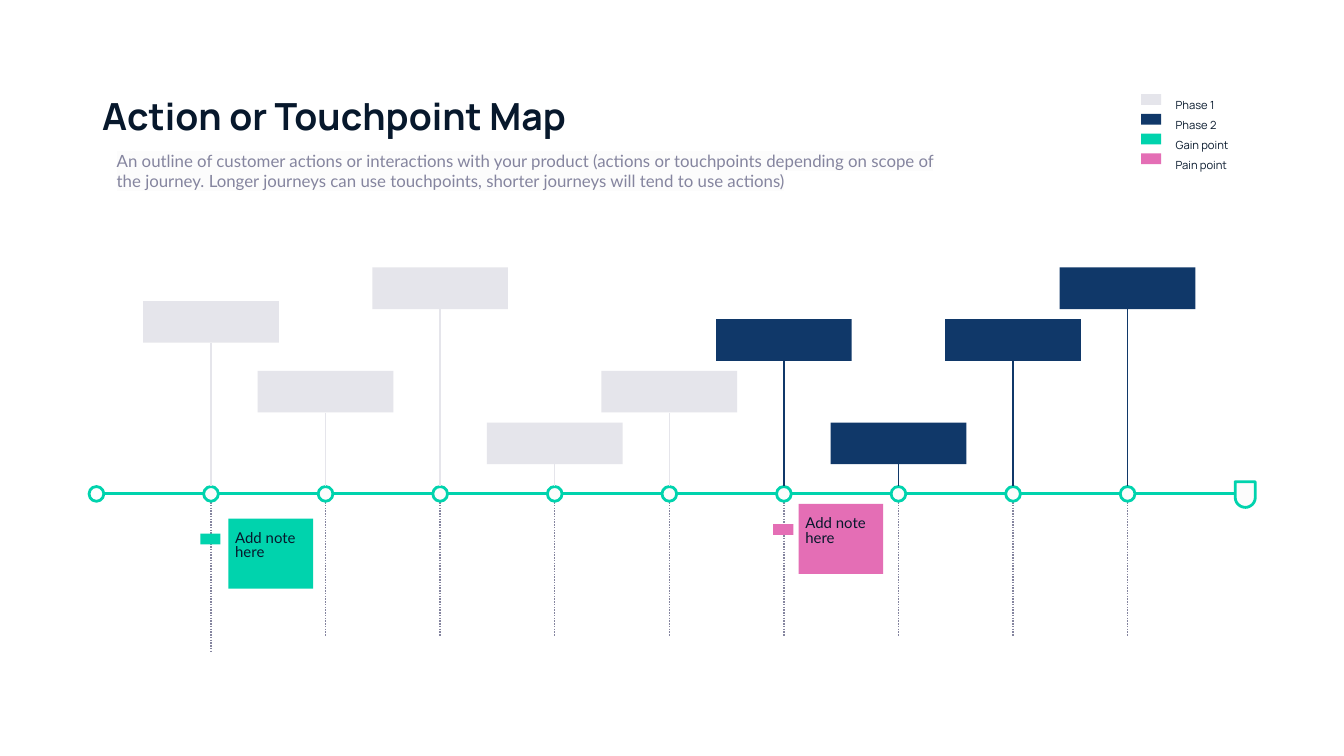
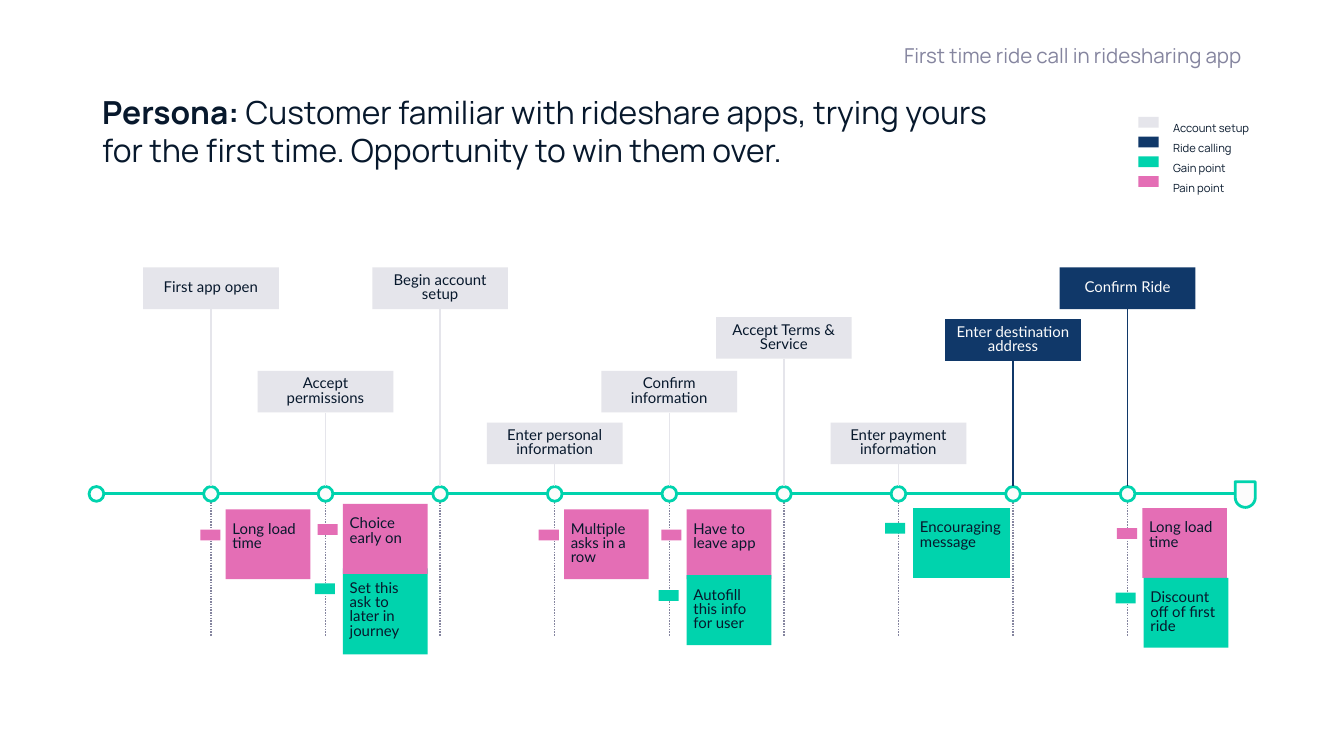
from dataclasses import dataclass

from lxml.etree import SubElement
from pptx import Presentation
from pptx.dml.color import RGBColor
from pptx.enum.dml import MSO_LINE
from pptx.enum.shapes import MSO_CONNECTOR, MSO_SHAPE
from pptx.enum.text import MSO_ANCHOR, MSO_AUTO_SIZE, PP_ALIGN
from pptx.oxml.ns import qn
from pptx.util import Inches, Pt

COLORS = {
    "ink": "07182C",
    "muted": "85859F",
    "paper": "FCFCFC",
    "first": "E5E5EB",
    "second": "103869",
    "gain": "00D3AD",
    "pain": "E46EB5",
}
HEADING, BODY = "Manrope", "Lato"

# The grid has 100 square columns across the slide.
COLUMN = Inches(10) / 100
STOPS = 9
STOP_GAP = (83.9 - 15.7) / (STOPS - 1)
AXIS_Y = 36.75
RING = 1.1
CARD_W, CARD_H = 10.1, 3.1
CARD_TOP, TIER = 19.9, 3.85
SWATCH_W, SWATCH_H = 1.5, 0.8


def grid(*lengths):
    return [round(length * COLUMN) for length in lengths]


def color(key):
    return RGBColor.from_string(COLORS[key])


def stop_x(stop):
    return 15.7 + (stop - 1) * STOP_GAP


@dataclass
class Note:
    """A note beside a stop; shift, gap and drop place it and its marker."""
    stop: int
    kind: str
    text: str
    top: float
    shift: float = 1.1
    gap: float = 1.9
    drop: float = 1.5
    width: float = 6.3
    height: float = 5.2


class JourneySlides:
    def __init__(self):
        self.deck = Presentation()
        self.deck.slide_width = Inches(10)
        self.deck.slide_height = Inches(10 * 9 / 16)
        self.slide = None

    def new_slide(self):
        self.slide = self.deck.slides.add_slide(self.deck.slide_layouts[5])

    def frame(self, shape, inset=1, anchor=MSO_ANCHOR.TOP, fit=MSO_AUTO_SIZE.NONE):
        text_frame = shape.text_frame
        text_frame.word_wrap = True
        text_frame.auto_size = fit
        text_frame.vertical_anchor = anchor
        text_frame.margin_left, text_frame.margin_right = grid(inset, inset)
        text_frame.margin_top, text_frame.margin_bottom = grid(1, 1)
        return text_frame

    def format(self, text_frame, size, font, ink, align=PP_ALIGN.LEFT, spacing=1.0):
        for paragraph in text_frame.paragraphs:
            paragraph.alignment = align
            paragraph.line_spacing = spacing
            for run in paragraph.runs:
                run.font.size = Pt(size)
                run.font.name = font
                run.font.color.rgb = color(ink)

    def title(self, bold_part, size, width, height, plain_part=""):
        heading = self.slide.shapes.title
        heading.left, heading.top, heading.width, heading.height = grid(6.6, 5.9, width, height)
        text_frame = self.frame(heading)
        text_frame.text = bold_part
        paragraph = text_frame.paragraphs[0]
        if plain_part:
            paragraph.add_run().text = plain_part
        self.format(text_frame, size, HEADING, "ink")
        for index, run in enumerate(paragraph.runs):
            run.font.bold = index == 0

    def text(self, words, box, size, font, ink, **layout):
        label = self.slide.shapes.add_textbox(*grid(*box))
        text_frame = self.frame(label, fit=MSO_AUTO_SIZE.SHAPE_TO_FIT_TEXT)
        text_frame.text = words
        self.format(text_frame, size, font, ink, **layout)
        return text_frame

    def shape(self, kind, box, fill=None, outline=None):
        shape = self.slide.shapes.add_shape(kind, *grid(*box))
        shape.shadow.inherit = False
        if fill:
            shape.fill.solid()
            shape.fill.fore_color.rgb = color(fill)
        else:
            shape.fill.background()
        if outline:
            shape.line.color.rgb = color(outline)
            shape.line.width = Pt(1.5)
        else:
            shape.line.fill.background()
        return shape

    def line(self, start, end, ink, width=0.75, dotted=False):
        line = self.slide.shapes.add_connector(MSO_CONNECTOR.STRAIGHT, *grid(*start, *end))
        line.line.color.rgb = color(ink)
        line.line.width = Pt(width)
        if dotted:
            line.line.dash_style = MSO_LINE.ROUND_DOT
        SubElement(line._element.spPr, qn("a:effectLst"))

    def swatch(self, left, top, kind):
        swatch = self.shape(MSO_SHAPE.ROUNDED_RECTANGLE, (left, top, SWATCH_W, SWATCH_H), kind)
        swatch.adjustments[0] = 0

    def legend(self, left, top, width, phases):
        for row, kind in enumerate(("first", "second", "gain", "pain")):
            self.swatch(left, top + 1.47 * row, kind)
        entries = "\n".join((*phases, "Gain point", "Pain point"))
        self.text(entries, (left + 1.6, top - 1.2, width, 7.6), 6, HEADING, "ink", spacing=1.5)

    def guides(self, first_end=47.3):
        """Draw the dotted line below each stop."""
        for stop in range(1, STOPS + 1):
            end = first_end if stop == 1 else 47.3
            self.line((stop_x(stop), AXIS_Y), (stop_x(stop), end), "muted", dotted=True)

    def axis(self):
        start, end = stop_x(0) + RING / 2, 91.9
        self.line((start, AXIS_Y), (end, AXIS_Y), "gain", 1.5)
        for stop in range(STOPS + 1):
            box = (stop_x(stop) - RING / 2, AXIS_Y - RING / 2, RING, RING)
            self.shape(MSO_SHAPE.OVAL, box, "paper" if stop else None, "gain")
        goal = self.shape(MSO_SHAPE.ROUND_2_SAME_RECTANGLE, (end, AXIS_Y - 0.9, 1.5, 1.9),
                          "paper", "gain")
        goal.adjustments[0], goal.adjustments[1] = 0.5, 0
        goal.rotation = 180

    def card(self, stop, tier, phase, words=""):
        """Put a card above its stop, tiers counted from the top, with its stem."""
        center, top = stop_x(stop), CARD_TOP + tier * TIER
        card = self.shape(MSO_SHAPE.RECTANGLE, (center - CARD_W / 2, top, CARD_W, CARD_H), phase)
        if words:
            text_frame = self.frame(card, 0.5, MSO_ANCHOR.MIDDLE)
            text_frame.text = words
            ink = "ink" if phase == "first" else "paper"
            self.format(text_frame, 8, BODY, ink, PP_ALIGN.CENTER, 0.8)
        self.line((center, top + CARD_H), (center, AXIS_Y - RING / 2), phase)

    def note(self, note):
        left = stop_x(note.stop) + note.shift
        self.swatch(left - note.gap, note.top + note.drop, note.kind)
        paper = self.shape(MSO_SHAPE.RECTANGLE, (left, note.top, note.width, note.height), note.kind)
        text_frame = self.frame(paper, 0.5)
        text_frame.text = note.text
        self.format(text_frame, 8, BODY, "ink", spacing=0.8)

    def journey(self, cards, notes, **guides):
        self.guides(**guides)
        self.axis()
        for stop, card in enumerate(cards, 1):
            self.card(stop, *card)
        for note in notes:
            self.note(note)


def highlight(text_frame, key):
    for run in text_frame.paragraphs[0].runs:
        fill = run.font._element.find(qn("a:solidFill"))
        marker = fill.makeelement(qn("a:highlight"), {})
        SubElement(marker, qn("a:srgbClr"), val=COLORS[key])
        fill.addnext(marker)


def touchpoint_map(slides):
    slides.new_slide()
    slides.title("Action or Touchpoint Map", 20, 86.7, 4.7)
    outline = slides.text(
        "An outline of customer actions or interactions with your product (actions or "
        "touchpoints depending on scope of the journey. Longer journeys can use "
        "touchpoints, shorter journeys will tend to use actions)",
        (7.7, 10.2, 63.2, 5), 9, BODY, "muted")
    highlight(outline, "paper")
    slides.legend(84.9, 7, 7, ("Phase 1", "Phase 2"))
    tiers = (0.65, 2, 0, 3, 2, 1, 3, 1, 0)
    cards = [(tier, "first" if stop <= 5 else "second") for stop, tier in enumerate(tiers, 1)]
    notes = [
        Note(1, "gain", "Add note here", 38.6, shift=1.3, gap=2.1, drop=1.1),
        Note(6, "pain", "Add note here", 37.5),
    ]
    slides.journey(cards, notes, first_end=48.6)


def rideshare_journey(slides):
    slides.new_slide()
    slides.title("Persona: ", 17, 69.3, 7.9,
                 "Customer familiar with rideshare apps, trying yours for the first time. "
                 "Opportunity to win them over.")
    slides.text("First time ride call in ridesharing app", (56.1, 2.3, 37.3, 3.9),
                11, HEADING, "muted", align=PP_ALIGN.RIGHT)
    slides.legend(84.7, 8.7, 8.6, ("Account setup", "Ride calling"))
    cards = [
        (0, "first", "First app open"),
        (2, "first", "Accept permissions"),
        (0, "first", "Begin account setup"),
        (3, "first", "Enter personal information"),
        (2, "first", "Confirm information"),
        (0.96, "first", "Accept Terms & Service"),
        (3, "first", "Enter payment information"),
        (1, "second", "Enter destination address"),
        (0, "second", "Confirm Ride"),
    ]
    notes = [
        Note(2, "gain", "Set this ask to later in journey", 42.3, 1.3, 2.1, 1.1, height=6.4),
        Note(1, "pain", "Long load time", 37.9),
        Note(2, "pain", "Choice early on", 37.5, 1.3),
        Note(4, "pain", "Multiple asks in a row", 37.9, 0.7),
        Note(5, "pain", "Have to leave app", 37.9, 1.3),
        Note(5, "gain", "Autofill this info for user", 42.8, 1.3, 2.1, 1.1),
        Note(7, "gain", "Encouraging message", 37.8, 1.1, 2.1, 1.1, width=7.2),
        Note(9, "pain", "Long load time", 37.8),
        Note(9, "gain", "Discount off of first ride", 43, 1.2, 2.1, 1.1),
    ]
    slides.journey(cards, notes)


def main():
    slides = JourneySlides()
    touchpoint_map(slides)
    rideshare_journey(slides)
    slides.deck.save("out.pptx")


if __name__ == "__main__":
    main()
